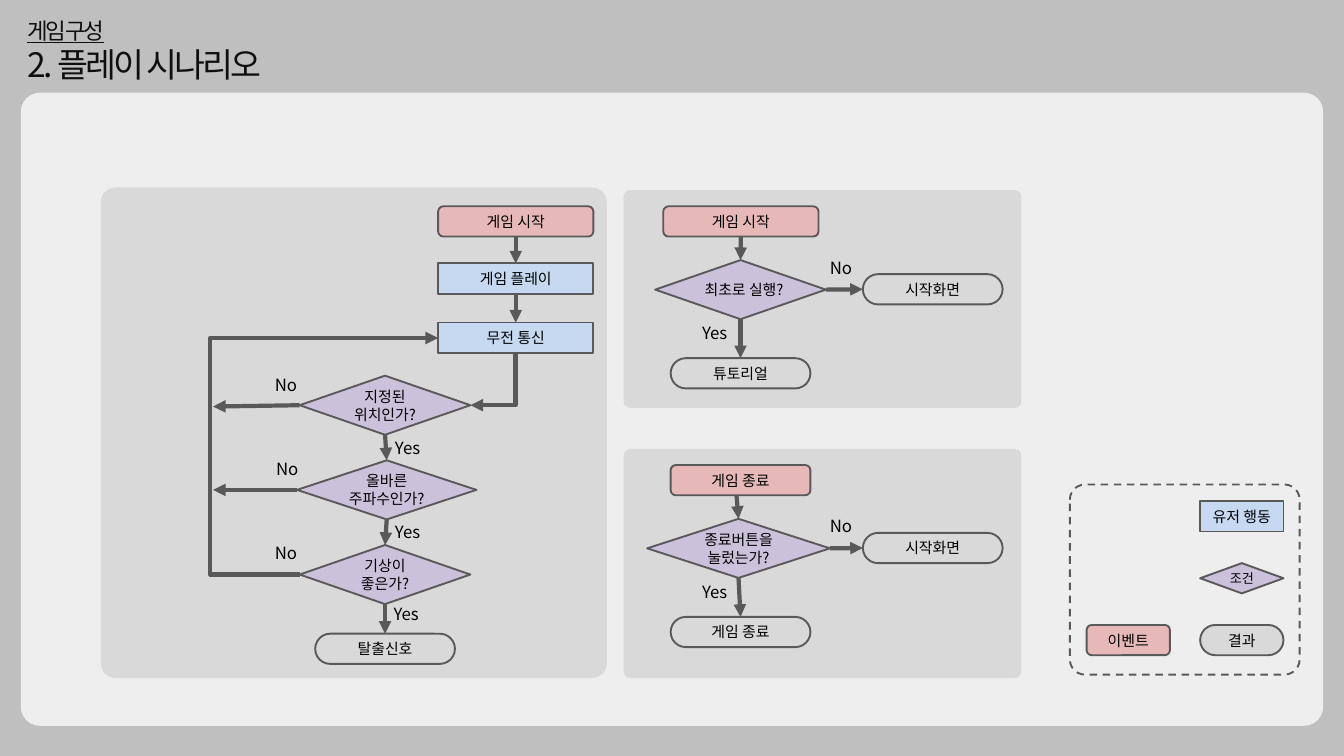
from dataclasses import dataclass
from typing import Any, Optional

from pptx import Presentation
from pptx.dml.color import RGBColor
from pptx.enum.dml import MSO_LINE
from pptx.enum.shapes import MSO_CONNECTOR, MSO_SHAPE
from pptx.enum.text import MSO_ANCHOR, MSO_AUTO_SIZE, PP_ALIGN
from pptx.oxml.ns import qn
from pptx.util import Inches, Pt
from lxml import etree

RECT, ROUND, DIAMOND = MSO_SHAPE.RECTANGLE, MSO_SHAPE.ROUNDED_RECTANGLE, MSO_SHAPE.DIAMOND
STRAIGHT, ELBOW = MSO_CONNECTOR.STRAIGHT, MSO_CONNECTOR.ELBOW
CENTER, MIDDLE = PP_ALIGN.CENTER, MSO_ANCHOR.MIDDLE
TOP, LEFT, BOTTOM, RIGHT = range(4)

FONT = "Noto Sans CJK KR"
COLORS = {
    "background": "BFBFBF", "page": "EEEEEE", "panel": "D9D9D9", "outline": "595959",
    "event": "E6B9B8", "action": "C6D9F1", "condition": "CCC1DA", "result": "D9D9D9",
    "title": "0F0F0E", "text": "000000",
}
# Outline form and corner rounding of each kind of step
FORMS = {"event": (ROUND, 0.17), "action": (RECT, None),
         "condition": (DIAMOND, None), "result": (ROUND, 0.5)}
BAR_H, DIAMOND_H = 0.45, 0.88


@dataclass
class Panel:
    left: float
    top: float
    width: float
    height: float
    color: str = "panel"


@dataclass
class Step:
    key: str
    kind: str
    text: str
    left: float
    top: float
    width: float
    height: float = BAR_H
    size: int = 16


@dataclass
class Arrow:
    start: str
    start_side: int
    end: Optional[str] = None
    end_side: int = TOP
    start_at: Optional[tuple[float, float]] = None
    end_at: Optional[tuple[float, float]] = None


@dataclass
class Answer:
    text: str
    left: float
    top: float


PANELS = [
    Panel(0.31, 1.38, 19.38, 9.42, "page"),
    Panel(9.28, 6.68, 5.92, 3.41),
    Panel(9.28, 2.83, 5.92, 3.24),
    Panel(1.5, 2.79, 7.53, 7.3),
]
STEPS = [
    # Play loop
    Step("start", "event", "게임 시작", 6.52, 3.07, 2.31),
    Step("play", "action", "게임 플레이", 6.52, 3.92, 2.31),
    Step("radio", "action", "무전 통신", 6.52, 4.8, 2.31),
    Step("place", "condition", "지정된 위치인가?", 4.46, 5.59, 2.54, DIAMOND_H),
    Step("frequency", "condition", "올바른 주파수인가?", 4.42, 6.85, 2.67, DIAMOND_H),
    Step("weather", "condition", "기상이 좋은가?", 4.46, 8.11, 2.54, DIAMOND_H),
    Step("escape", "result", "탈출신호", 4.69, 9.43, 2.08),
    # First launch
    Step("launch", "event", "게임 시작", 9.87, 3.07, 2.31),
    Step("first", "condition", "최초로 실행?", 9.75, 3.87, 2.54, DIAMOND_H),
    Step("launch_menu", "result", "시작화면", 12.84, 4.08, 2.08),
    Step("tutorial", "result", "튜토리얼", 9.98, 5.33, 2.08),
    # Leaving the game
    Step("quit", "event", "게임 종료", 9.98, 6.92, 2.08),
    Step("pressed", "condition", "종료버튼을눌렀는가?", 9.63, 7.72, 2.72, DIAMOND_H),
    Step("quit_menu", "result", "시작화면", 12.84, 7.93, 2.08),
    Step("closed", "result", "게임 종료", 9.98, 9.18, 2.08),
]
LEGEND = [
    Step("event", "event", "이벤트", 16.17, 9.3, 1.24),
    Step("action", "action", "유저 행동", 17.86, 7.46, 1.24),
    Step("condition", "condition", "조건", 17.86, 8.38, 1.24, size=14),
    Step("result", "result", "결과", 17.86, 9.3, 1.24),
]
DOWNWARD = [("start", "play"), ("play", "radio"), ("place", "frequency"),
            ("frequency", "weather"), ("weather", "escape"), ("launch", "first"),
            ("first", "tutorial"), ("pressed", "closed")]
ARROWS = [Arrow(upper, BOTTOM, lower, TOP) for upper, lower in DOWNWARD] + [
    Arrow("first", RIGHT, "launch_menu", LEFT),
    Arrow("pressed", RIGHT, "quit_menu", LEFT),
    Arrow("quit", BOTTOM, "pressed", TOP, start_at=(10.96, 7.37)),
    Arrow("place", LEFT, end_at=(3.17, 6.05)),
    Arrow("frequency", LEFT, end_at=(3.17, 7.29)),
]
ANSWERS = [
    Answer("Yes", 5.73, 6.47), Answer("Yes", 5.73, 7.71), Answer("Yes", 5.71, 8.94),
    Answer("No", 3.92, 5.52), Answer("No", 3.94, 6.77), Answer("No", 3.92, 8.03),
    Answer("No", 12.18, 3.78), Answer("Yes", 10.3, 4.75),
    Answer("No", 12.18, 7.63), Answer("Yes", 10.3, 8.6),
]


def rgb(name: str) -> RGBColor:
    return RGBColor.from_string(COLORS[name])


def write(paragraph: Any, text: str, size: int, color: str = "text", **formats: Any) -> Any:
    run = paragraph.add_run()
    run.text = text
    for name, value in {"name": FONT, "size": Pt(size), **formats}.items():
        setattr(run.font, name, value)
    run.font.color.rgb = rgb(color)
    props = run.font._element
    etree.SubElement(props, qn("a:ea")).set("typeface", FONT)
    return props


def draw_box(shapes: Any, form: Any, box: tuple[float, ...], fill: Optional[str],
             rounding: Optional[float] = None, outlined: bool = True) -> Any:
    shape = shapes.add_shape(form, *map(Inches, box))
    shape.shadow.inherit = False
    if rounding is not None:
        shape.adjustments[0] = rounding
    if fill:
        shape.fill.solid()
        shape.fill.fore_color.rgb = rgb(fill)
    else:
        shape.fill.background()
    if outlined:
        shape.line.color.rgb = rgb("outline")
        shape.line.width = Pt(2)
    else:
        shape.line.fill.background()
    return shape


def draw_step(shapes: Any, step: Step) -> Any:
    form, rounding = FORMS[step.kind]
    box = (step.left, step.top, step.width, step.height)
    shape = draw_box(shapes, form, box, step.kind, rounding)
    frame = shape.text_frame
    frame.word_wrap, frame.vertical_anchor = True, MIDDLE
    frame.paragraphs[0].alignment = CENTER
    write(frame.paragraphs[0], step.text, step.size)
    return shape


def add_text_frame(shapes: Any, box: tuple[float, ...]) -> Any:
    frame = shapes.add_textbox(*map(Inches, box)).text_frame
    frame.word_wrap, frame.auto_size = True, MSO_AUTO_SIZE.SHAPE_TO_FIT_TEXT
    return frame


def draw_connector(shapes: Any, kind: Any, start: tuple[float, float],
                   end: tuple[float, float]) -> Any:
    connector = shapes.add_connector(kind, *map(Inches, (*start, *end)))
    connector.line.color.rgb = rgb("outline")
    connector.line.width = Pt(4.5)
    etree.SubElement(connector.line._get_or_add_ln(), qn("a:tailEnd")).set("type", "triangle")
    etree.SubElement(connector._element.spPr, qn("a:effectLst"))
    return connector


def draw_arrow(shapes: Any, arrow: Arrow, steps: dict[str, Any]) -> None:
    origin = (0, 0)
    connector = draw_connector(shapes, STRAIGHT, arrow.start_at or origin, arrow.end_at or origin)
    if arrow.start_at is None:
        connector.begin_connect(steps[arrow.start], arrow.start_side)
    if arrow.end:
        connector.end_connect(steps[arrow.end], arrow.end_side)


def main() -> None:
    deck = Presentation()
    deck.slide_width, deck.slide_height = Inches(20), Inches(11.25)
    slide = deck.slides.add_slide(deck.slide_layouts[6])
    slide.background.fill.solid()
    slide.background.fill.fore_color.rgb = rgb("background")
    shapes = slide.shapes

    # Panels and title
    for panel in PANELS:
        box = (panel.left, panel.top, panel.width, panel.height)
        draw_box(shapes, ROUND, box, panel.color, 0.03, outlined=False)
    heading = add_text_frame(shapes, (0.31, 0.2, 6.27, 1.11))
    heading.vertical_anchor = MIDDLE
    section = write(heading.paragraphs[0], "게임 구성", 24, "title", underline=True)
    title = write(heading.add_paragraph(), "2. 플레이 시나리오", 36, "title")
    for props in (section, title):
        props.set("spc", "-300")

    # Flowchart steps, arrows and answers
    steps = {step.key: draw_step(shapes, step) for step in STEPS}
    for arrow in ARROWS:
        draw_arrow(shapes, arrow, steps)
    for answer in ANSWERS:
        paragraph = add_text_frame(shapes, (answer.left, answer.top, 0.67, 0.4)).paragraphs[0]
        paragraph.alignment = CENTER
        write(paragraph, answer.text, 18)

    # Radio down to the first condition: one bend, turned a quarter
    descent = draw_connector(shapes, ELBOW, (6.95, 5.31), (7.72, 5.98))
    descent._element.spPr.find(qn("a:xfrm")).set("rot", "5400000")
    descent._element.spPr.find(qn("a:prstGeom")).set("prst", "bentConnector2")

    # Loop back to the radio, swinging out to the left
    loop = draw_connector(shapes, ELBOW, (4.46, 8.55), (6.52, 5.03))
    guides = loop._element.spPr.find(qn("a:prstGeom")).find(qn("a:avLst"))
    bend = etree.SubElement(guides, qn("a:gd"))
    bend.set("name", "adj1")
    bend.set("fmla", "val -64600")

    # Legend
    legend = shapes.add_group_shape().shapes
    frame = draw_box(legend, ROUND, (15.92, 7.21, 3.42, 2.83), None, 0.08)
    frame.line.dash_style = MSO_LINE.DASH
    for step in LEGEND:
        draw_step(legend, step)

    deck.save("out.pptx")


if __name__ == "__main__":
    main()
